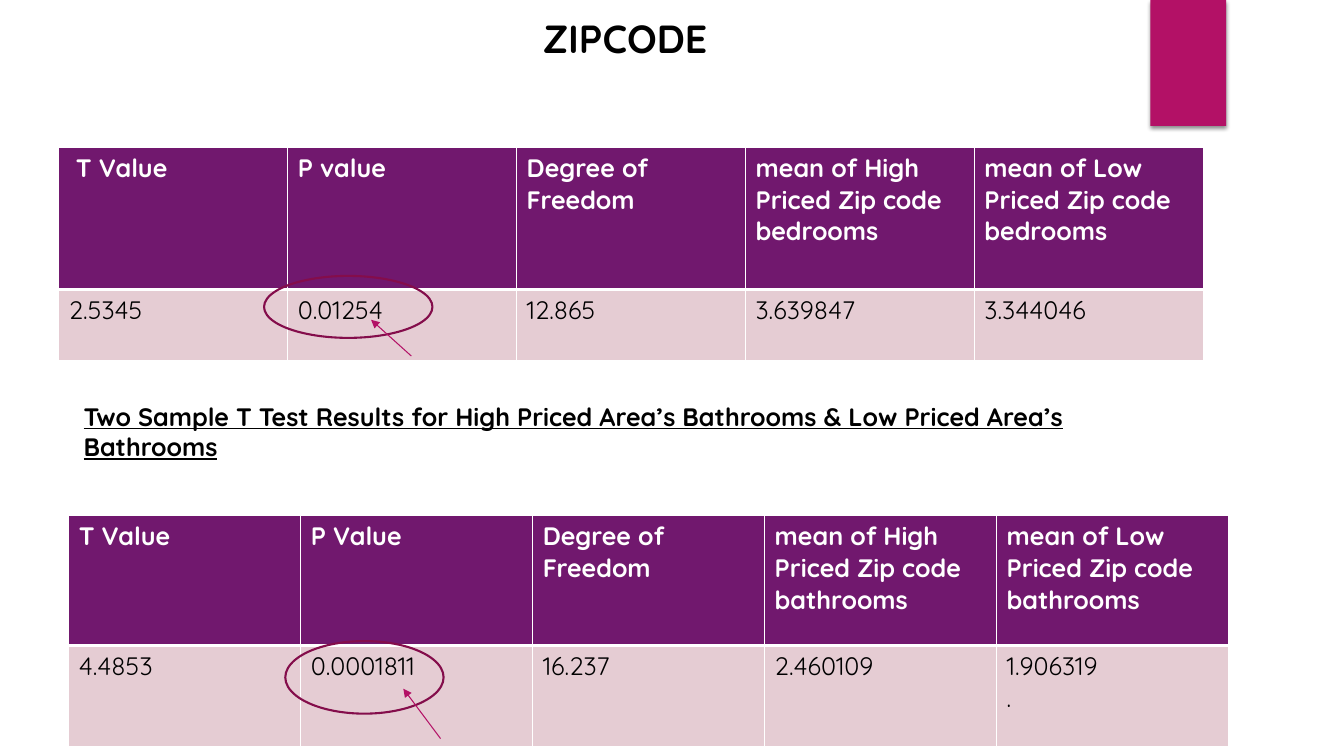
from lxml.etree import SubElement
from pptx import Presentation
from pptx.dml.color import RGBColor
from pptx.enum.shapes import MSO_CONNECTOR, MSO_SHAPE
from pptx.enum.text import MSO_AUTO_SIZE, PP_ALIGN
from pptx.oxml import parse_xml
from pptx.oxml.ns import nsdecls, qn
from pptx.util import Inches, Pt

MAGENTA = RGBColor(0xB3, 0x11, 0x66)
WINE = RGBColor(0x84, 0x0D, 0x4B)
PURPLE = RGBColor(0x71, 0x18, 0x6E)
PINK = RGBColor(0xE5, 0xCC, 0xD3)
WHITE = RGBColor(0xFF, 0xFF, 0xFF)
BLACK = RGBColor(0, 0, 0)


class SlideBuilder:
    """Draws on one slide; lengths are percentages of its width and height."""

    font_name = "Quicksand"
    body_size = 18

    def __init__(self, presentation):
        self.width = presentation.slide_width
        self.height = presentation.slide_height
        self.slide = presentation.slides.add_slide(presentation.slide_layouts[6])

    def x(self, share):
        return round(self.width * share / 100)

    def y(self, share):
        return round(self.height * share / 100)

    def box(self, left, top, width, height):
        return self.x(left), self.y(top), self.x(width), self.y(height)

    def style(self, paragraph, color, bold, size=body_size, underline=None):
        font = paragraph.font
        font.name, font.size = self.font_name, Pt(size)
        font.bold, font.underline = bold, underline
        font.color.rgb = color

    def text(self, content, place, size=body_size, underline=None, align=PP_ALIGN.LEFT):
        frame = self.slide.shapes.add_textbox(*self.box(*place)).text_frame
        frame.word_wrap = True
        frame.auto_size = MSO_AUTO_SIZE.SHAPE_TO_FIT_TEXT
        paragraph = frame.paragraphs[0]
        paragraph.text = content
        paragraph.alignment = align
        self.style(paragraph, BLACK, True, size, underline)

    def shadowed_block(self, place):
        shape = self.slide.shapes.add_shape(MSO_SHAPE.RECTANGLE, *self.box(*place))
        shape.fill.solid()
        shape.fill.fore_color.rgb = MAGENTA
        shape.line.fill.background()
        shape.element.spPr.append(parse_xml(
            f'<a:effectLst {nsdecls("a")}>'
            '<a:outerShdw blurRad="38100" dist="25400" dir="5400000" rotWithShape="0">'
            '<a:srgbClr val="000000"><a:alpha val="45000"/></a:srgbClr>'
            '</a:outerShdw></a:effectLst>'))

    def ring(self, place):
        shape = self.slide.shapes.add_shape(MSO_SHAPE.OVAL, *self.box(*place))
        shape.shadow.inherit = False
        shape.fill.background()
        shape.line.color.rgb = WINE
        shape.line.width = Pt(1.5)

    def arrow(self, start, end):
        connector = self.slide.shapes.add_connector(
            MSO_CONNECTOR.STRAIGHT,
            self.x(start[0]), self.y(start[1]), self.x(end[0]), self.y(end[1]))
        connector.line.color.rgb = MAGENTA
        connector.line.width = Pt(0.75)
        SubElement(connector.line._get_or_add_ln(), qn("a:tailEnd"), type="triangle")
        SubElement(connector.element.spPr, qn("a:effectLst"))

    def borders(self, cell, top, bottom):
        properties = cell._tc.get_or_add_tcPr()
        widths = {"lnL": 1, "lnR": 1, "lnT": top, "lnB": bottom}
        for index, (side, width) in enumerate(widths.items()):
            properties.insert(index, parse_xml(
                f'<a:{side} {nsdecls("a")} w="{Pt(width)}"><a:solidFill>'
                f'<a:srgbClr val="{WHITE}"/></a:solidFill></a:{side}>'))

    def table(self, rows, left, top, column_width, row_heights):
        columns = len(rows[0])
        place = self.box(left, top, column_width * columns, sum(row_heights))
        table = self.slide.shapes.add_table(len(rows), columns, *place).table
        for column in table.columns:
            column.width = self.x(column_width)
        for row, height in zip(table.rows, row_heights):
            row.height = self.y(height)
        for row_index, values in enumerate(rows):
            header = row_index == 0
            for column_index, value in enumerate(values):
                cell = table.cell(row_index, column_index)
                cell.text = value
                cell.fill.solid()
                cell.fill.fore_color.rgb = PURPLE if header else PINK
                for paragraph in cell.text_frame.paragraphs:
                    self.style(paragraph, WHITE if header else BLACK, header)
                self.borders(cell, 1 if header else 3, 3 if header else 1)


def mean_headers(room):
    return [f"mean of {level} Priced Zip code {room}" for level in ("High", "Low")]


def main():
    presentation = Presentation()
    presentation.slide_width = Inches(13.33)
    presentation.slide_height = Inches(7.5)
    builder = SlideBuilder(presentation)

    # Corner block and title
    builder.shadowed_block((85.6, 0, 5.63, 16.67))
    builder.text("ZIPCODE", (17.48, 1.2, 58.06, 7.6), size=28, align=PP_ALIGN.CENTER)

    # Bedrooms test
    builder.table(
        [[" T Value", "P value", "Degree of\nFreedom", *mean_headers("bedrooms")],
         ["2.5345", "0.01254", "12.865", "3.639847", "3.344046"]],
        4.38, 19.5, 17.03, (18.8, 9.4))

    # Bathrooms test
    builder.text(
        "Two Sample T Test Results for High Priced Area’s Bathrooms "
        "& Low Priced Area’s Bathrooms",
        (5.48, 52.4, 83.87, 5.4), underline=True)
    builder.table(
        [["T Value", "P Value", "Degree of Freedom", *mean_headers("bathrooms")],
         ["4.4853", "0.0001811", "16.237", "2.460109", "1.906319\n."]],
        5.12, 68.2, 17.26, (17.2, 13.4))

    # Marks around the P values
    builder.ring((19.65, 36.5, 12.53, 8.2))
    builder.ring((21.23, 84.8, 11.78, 9.6))
    builder.arrow((30.61, 47.1), (27.61, 42.3))
    builder.arrow((32.78, 97.7), (30.01, 91.1))

    presentation.save("out.pptx")


if __name__ == "__main__":
    main()
